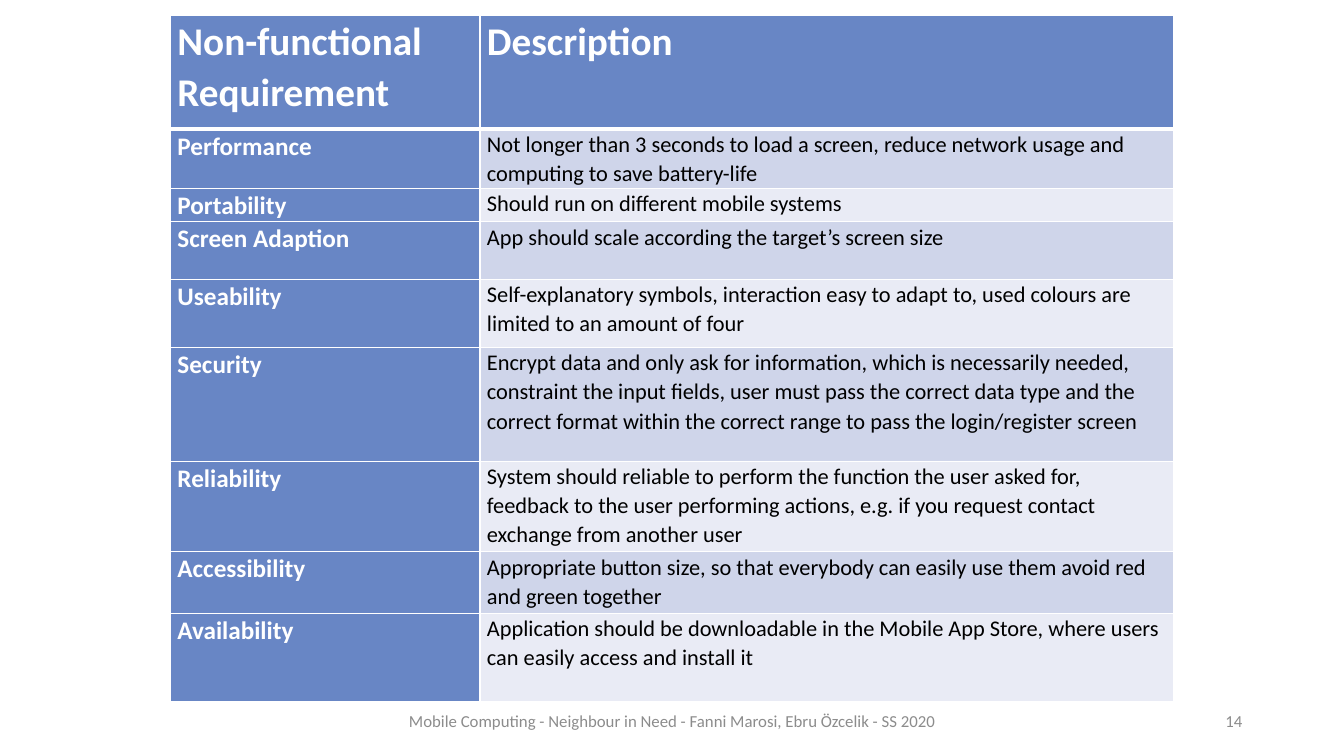
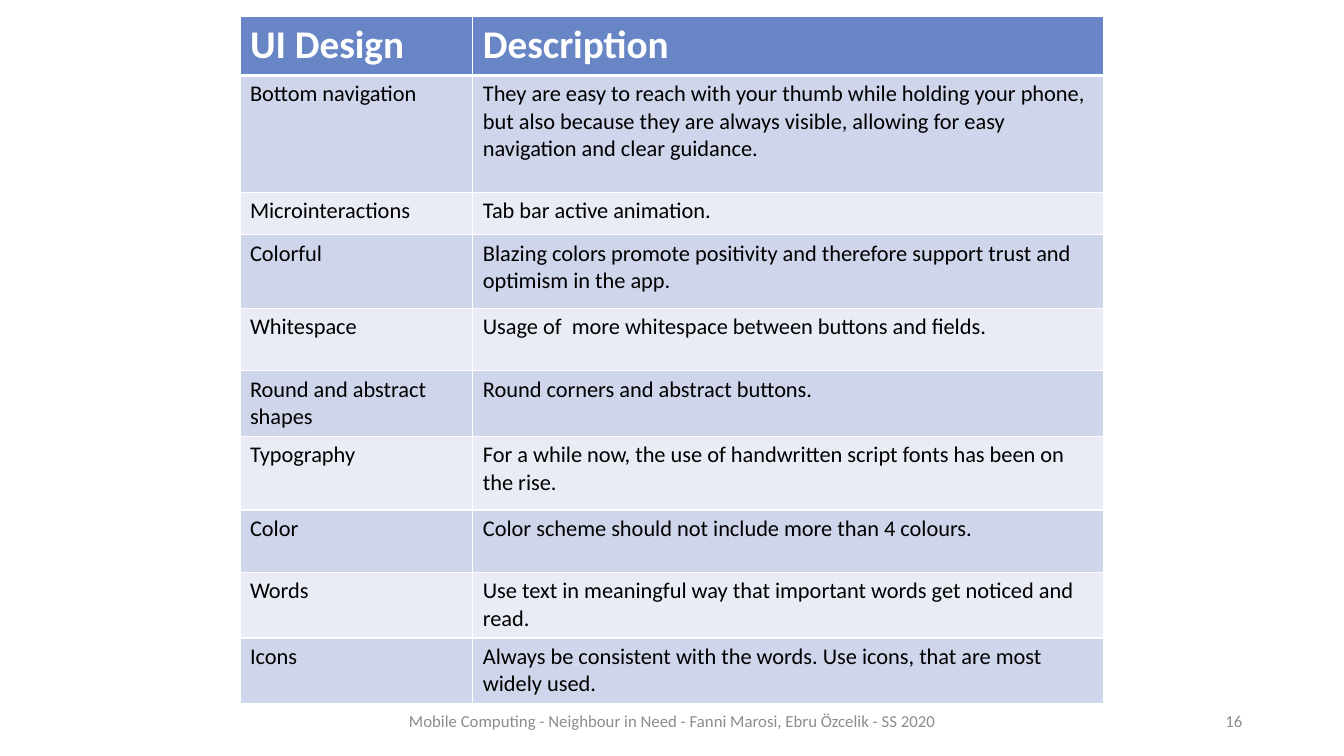
from pptx import Presentation
from pptx.dml.color import RGBColor
from pptx.enum.text import MSO_ANCHOR, PP_ALIGN
from pptx.oxml import parse_xml
from pptx.oxml.ns import nsdecls
from pptx.util import Inches, Pt

SLIDE_W, SLIDE_H = 13.33, 7.5
FONT = "Calibri"
WHITE, BLACK, GREY = "FFFFFF", "000000", "8C8C8C"
BLUE, BANDS = "6886C5", ("CFD5EA", "E9EBF5")
HEAD_SIZE, LABEL_SIZE, BODY_SIZE, FOOT_SIZE = 28, 18, 16, 12
THIN, THICK = 1, 3
FOOTER = "Mobile Computing - Neighbour in Need - Fanni Marosi, Ebru Özcelik - SS 2020"
FOOT_TOP, FOOT_HEIGHT = 92.67, 5.33

REQUIREMENTS = [
    (15.07, "Non-functional\vRequirement", "Description"),
    (7.87, "Performance",
     "Not longer than 3 seconds to load a screen, reduce network usage and "
     "computing to save battery-life"),
    (4.4, "Portability", "Should run on different mobile systems"),
    (7.6, "Screen Adaption", "App should scale according the target’s screen size"),
    (9, "Useability",
     "Self-explanatory symbols, interaction easy to adapt to, used colours are "
     "limited to an amount of four"),
    (15.07, "Security",
     "Encrypt data and only ask for information, which is necessarily needed, "
     "constraint the input fields, user must pass the correct data type and the "
     "correct format within the correct range to pass the login/register screen"),
    (12, "Reliability",
     "System should reliable to perform the function the user asked for, "
     "feedback to the user performing actions, e.g. if you request contact "
     "exchange from another user"),
    (8.13, "Accessibility",
     "Appropriate button size, so that everybody can easily use them avoid red "
     "and green together"),
    (11.73, "Availability",
     "Application should be downloadable in the Mobile App Store, where users "
     "can easily access and install it"),
]

UI_DESIGN = [
    (7.87, "UI Design", "Description"),
    (15.47, "Bottom navigation",
     "They are easy to reach with your thumb while holding your phone, but also "
     "because they are always visible, allowing for easy navigation and clear "
     "guidance."),
    (5.6, "Microinteractions", "Tab bar active animation."),
    (9.73, "Colorful",
     "Blazing colors promote positivity and therefore support trust and "
     "optimism in the app."),
    (8.27, "Whitespace", "Usage of  more whitespace between buttons and fields."),
    (8.67, "Round and abstract shapes", "Round corners and abstract buttons."),
    (9.73, "Typography",
     "For a while now, the use of handwritten script fonts has been on the rise."),
    (8.27, "Color", "Color scheme should not include more than 4 colours."),
    (8.67, "Words",
     "Use text in meaningful way that important words get noticed and read."),
    (8.67, "Icons",
     "Always be consistent with the words. Use icons, that are most widely used."),
]


def rgb(color):
    return RGBColor.from_string(color)


def across(percent):
    return Inches(SLIDE_W * percent / 100)


def down(percent):
    return Inches(SLIDE_H * percent / 100)


def style_text(tf, size, color, bold=False, align=PP_ALIGN.LEFT, spacing=None):
    for p in tf.paragraphs:
        p.alignment = align
        p.line_spacing = spacing
        for r in p.runs:
            r.font.name, r.font.size, r.font.bold = FONT, Pt(size), bold
            r.font.color.rgb = rgb(color)


def add_footer_text(s, text, left, width, align):
    sp = s.shapes.add_textbox(across(left), down(FOOT_TOP), across(width), down(FOOT_HEIGHT))
    tf = sp.text_frame
    tf.word_wrap = True
    tf.vertical_anchor = MSO_ANCHOR.MIDDLE
    tf.text = text
    style_text(tf, FOOT_SIZE, GREY, align=align)


def set_borders(cell, top, bottom):
    tc_pr = cell._tc.get_or_add_tcPr()
    for side, width in (("L", THIN), ("R", THIN), ("T", top), ("B", bottom)):
        tc_pr.append(parse_xml(
            f'<a:ln{side} {nsdecls("a")} w="{Pt(width)}"><a:solidFill>'
            f'<a:srgbClr val="{WHITE}"/></a:solidFill></a:ln{side}>'))


def cell_look(row, col, blue_labels):
    if row == 0:
        return BLUE, HEAD_SIZE, WHITE, True
    if col == 0 and blue_labels:
        return BLUE, LABEL_SIZE, WHITE, True
    return BANDS[(row - 1) % 2], BODY_SIZE, BLACK, False


def add_grid(s, rows, left, top, widths, blue_labels=False, insets=(0.1, 0.05), spacing=None):
    heights = [row[0] for row in rows]
    frame = s.shapes.add_table(len(rows), len(widths), across(left), down(top),
                               across(sum(widths)), down(sum(heights)))
    table = frame.table
    table.first_row = table.horz_banding = False
    for column, width in zip(table.columns, widths):
        column.width = across(width)
    for i, (height, *texts) in enumerate(rows):
        table.rows[i].height = down(height)
        for j, text in enumerate(texts):
            cell = table.cell(i, j)
            fill, size, color, bold = cell_look(i, j, blue_labels)
            set_borders(cell, THICK if i == 1 else THIN, THICK if i == 0 else THIN)
            cell.fill.solid()
            cell.fill.fore_color.rgb = rgb(fill)
            cell.margin_left = cell.margin_right = Inches(insets[0])
            cell.margin_top = cell.margin_bottom = Inches(insets[1])
            cell.text_frame.text = text
            style_text(cell.text_frame, size, color, bold, spacing=spacing)


def add_slide(prs, number):
    s = prs.slides.add_slide(prs.slide_layouts[6])
    add_footer_text(s, FOOTER, 19.43, 61.2, PP_ALIGN.CENTER)
    add_footer_text(s, str(number), 70.67, 22.5, PP_ALIGN.RIGHT)
    return s


def main():
    prs = Presentation()
    prs.slide_width, prs.slide_height = Inches(SLIDE_W), Inches(SLIDE_H)
    add_grid(add_slide(prs, 14), REQUIREMENTS, 12.68, 2, (23.03, 51.61),
             blue_labels=True, insets=(0.07, 0), spacing=1.07)
    add_grid(add_slide(prs, 16), UI_DESIGN, 17.85, 2.13, (17.33, 46.95))
    prs.save("out.pptx")


if __name__ == "__main__":
    main()
